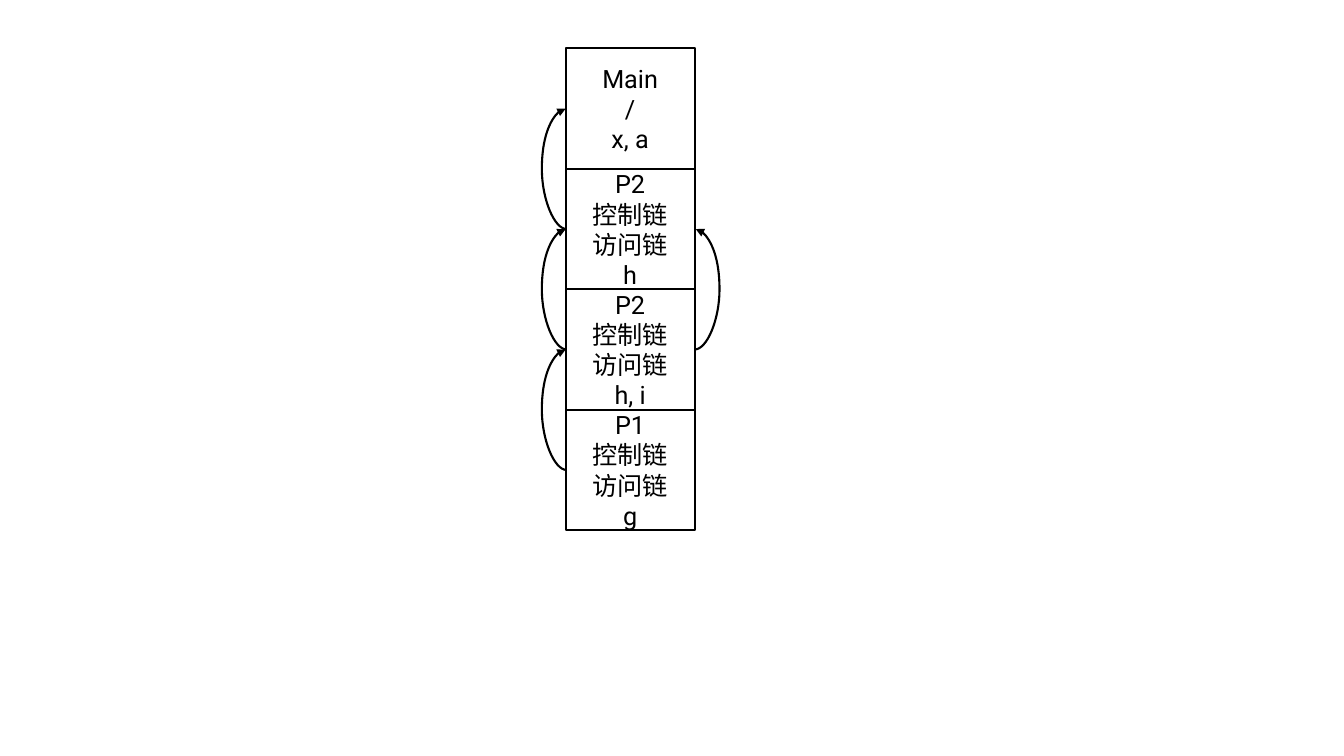
from dataclasses import dataclass

from lxml.etree import SubElement
from pptx import Presentation
from pptx.dml.color import RGBColor
from pptx.enum.shapes import MSO_CONNECTOR, MSO_SHAPE
from pptx.enum.text import MSO_ANCHOR, PP_ALIGN
from pptx.oxml.ns import qn
from pptx.util import Inches, Pt


@dataclass(frozen=True)
class Theme:
    font: str = "Roboto"
    ink: RGBColor = RGBColor(0, 0, 0)
    text_size: Pt = Pt(18)
    line_width: Pt = Pt(1.5)


class StackDiagram:
    def __init__(self, slide, theme):
        self.group = slide.shapes.add_group_shape()
        self.theme = theme

    def style_line(self, line):
        line.color.rgb = self.theme.ink
        line.width = self.theme.line_width

    def frame(self, left, top, width, height, text):
        shape = self.group.shapes.add_shape(
            MSO_SHAPE.RECTANGLE, Inches(left), Inches(top), Inches(width), Inches(height)
        )
        shape.shadow.inherit = False
        shape.fill.background()
        self.style_line(shape.line)
        text_frame = shape.text_frame
        text_frame.word_wrap = True
        text_frame.vertical_anchor = MSO_ANCHOR.MIDDLE
        text_frame.text = text
        for paragraph in text_frame.paragraphs:
            paragraph.alignment = PP_ALIGN.CENTER
            for run in paragraph.runs:
                run.font.name = self.theme.font
                run.font.size = self.theme.text_size
                run.font.color.rgb = self.theme.ink

    def link(self, begin, end, bulge, half_turn=False):
        if half_turn:
            begin, end = end, begin
        connector = self.group.shapes.add_connector(
            MSO_CONNECTOR.CURVE, *[Inches(value) for value in (*begin, *end)]
        )
        self.style_line(connector.line)
        properties = connector._element.spPr
        if half_turn:
            properties.find(qn("a:xfrm")).set("rot", "10800000")
        ratio = round(bulge / abs(end[0] - begin[0]) * 100000)
        adjustments = properties.find(qn("a:prstGeom")).find(qn("a:avLst"))
        SubElement(adjustments, qn("a:gd"), name="adj1", fmla=f"val {ratio}")
        SubElement(properties.find(qn("a:ln")), qn("a:tailEnd"), type="triangle")
        SubElement(properties, qn("a:effectLst"))


FRAMES = [
    "Main\n/\nx, a",
    "P2\n控制链\n访问链\nh",
    "P2\n控制链\n访问链\nh, i",
    "P1\n控制链\n访问链\ng",
]
LEFT, TOP, WIDTH, HEIGHT = 5.61, 0.48, 1.28, 1.195
RIGHT = LEFT + WIDTH
OFFSET, BULGE = 0.01, 0.25


def main():
    presentation = Presentation()
    presentation.slide_width = Inches(13.33)
    presentation.slide_height = Inches(7.5)
    slide = presentation.slides.add_slide(presentation.slide_layouts[6])
    diagram = StackDiagram(slide, Theme())

    for index, text in enumerate(FRAMES):
        diagram.frame(LEFT, TOP + index * HEIGHT, WIDTH, HEIGHT, text)

    middles = [TOP + (index + 0.5) * HEIGHT for index in range(len(FRAMES))]
    diagram.link((RIGHT, middles[2]), (RIGHT + OFFSET, middles[1]), BULGE)
    for caller, callee in reversed(list(zip(middles, middles[1:]))):
        diagram.link((LEFT + OFFSET, callee), (LEFT, caller), BULGE, half_turn=True)

    presentation.save("out.pptx")


if __name__ == "__main__":
    main()
